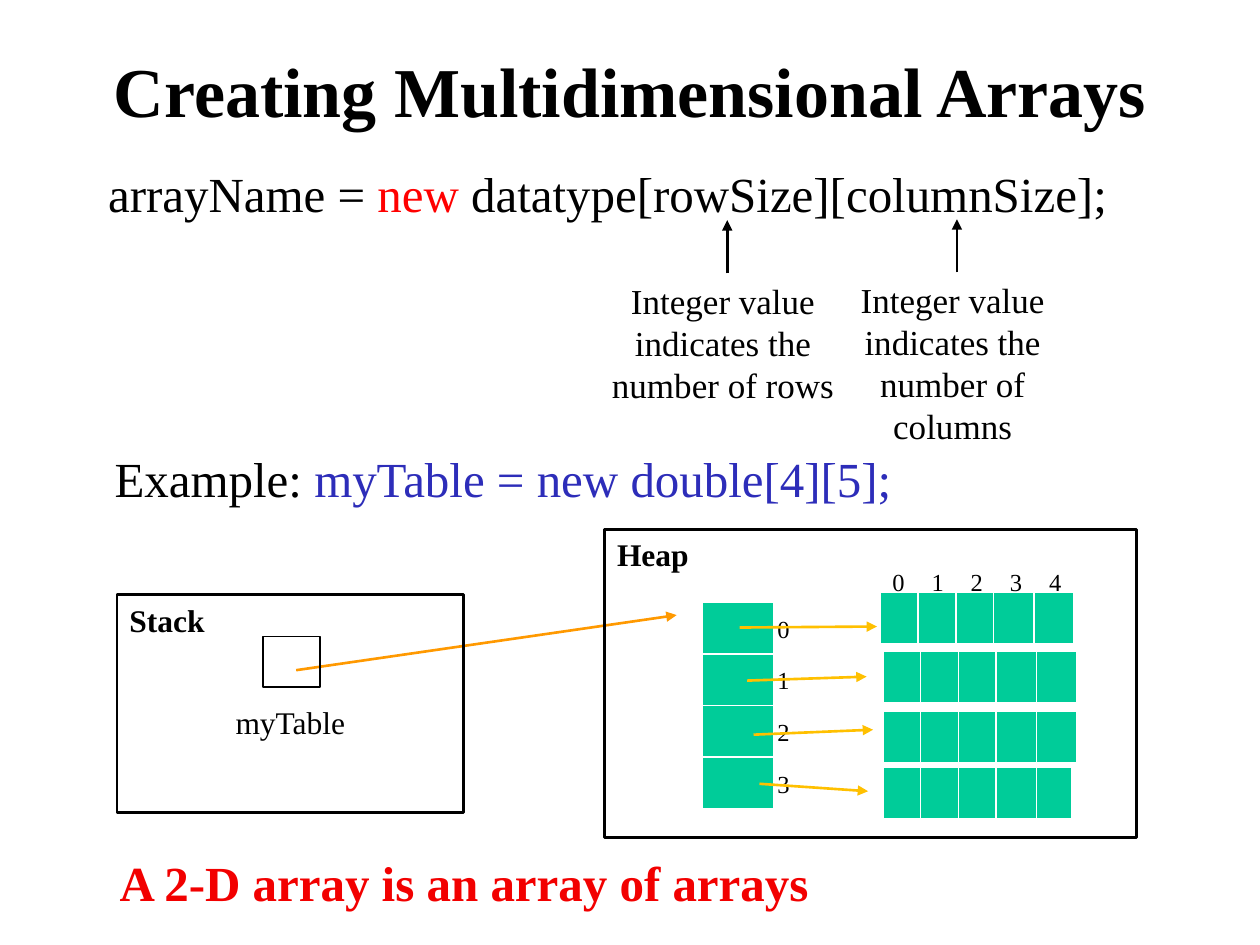
import dataclasses

import pptx
import pptx.dml.color
import pptx.enum.shapes
import pptx.enum.text
import pptx.oxml
import pptx.oxml.ns
import pptx.util

Cm = pptx.util.Cm
ALIGN = pptx.enum.text.PP_ALIGN
ANCHOR = pptx.enum.text.MSO_ANCHOR


@dataclasses.dataclass(frozen=True)
class Theme:
    """Hold the colours and type sizes of the deck."""
    font: str = "Times New Roman"
    ink: str = "000000"
    keyword: str = "FF0000"
    code: str = "2D2DB9"
    summary: str = "F20000"
    cell: str = "00CC99"
    reference: str = "FF9900"
    row_reference: str = "FFC000"
    title_size: int = 40
    body_size: int = 28
    note_size: int = 20
    label_size: int = 18
    index_size: int = 14
    line: float = 1.5
    thin_line: float = 1


THEME = Theme()


def color(value):
    """Turn a hex string into a colour."""
    return pptx.dml.color.RGBColor.from_string(value)


def write(shape, spans, size, bold=False, align=ALIGN.LEFT, anchor=ANCHOR.TOP):
    """Write (text, colour) spans as one paragraph of a shape."""
    frame = shape.text_frame
    frame.word_wrap = True
    frame.vertical_anchor = anchor
    para = frame.paragraphs[0]
    para.alignment = align
    for text, ink in spans:
        span = para.add_run()
        span.text = text
        span.font.name = THEME.font
        span.font.size = pptx.util.Pt(size)
        span.font.bold = bold
        span.font.color.rgb = color(ink)


def add_text(page, box, spans, size, **style):
    """Add a text box at (left, top, width, height)."""
    shape = page.shapes.add_textbox(*map(Cm, box))
    write(shape, spans, size, **style)


def add_frame(page, box, width, label=""):
    """Add an unfilled rectangle with an optional bold label."""
    shape = page.shapes.add_shape(
        pptx.enum.shapes.MSO_SHAPE.RECTANGLE, *map(Cm, box))
    shape.shadow.inherit = False
    shape.fill.background()
    shape.line.color.rgb = color(THEME.ink)
    shape.line.width = pptx.util.Pt(width)
    if label:
        write(shape, [(label, THEME.ink)], THEME.label_size, bold=True)


def add_arrow(page, start, end, ink):
    """Add a straight arrow pointing at its end."""
    arrow = page.shapes.add_connector(
        pptx.enum.shapes.MSO_CONNECTOR.STRAIGHT, *map(Cm, (*start, *end)))
    arrow.line.color.rgb = color(ink)
    arrow.line.width = pptx.util.Pt(THEME.line)
    head = pptx.oxml.parse_xml(
        f'<a:tailEnd {pptx.oxml.ns.nsdecls("a")} type="triangle"/>')
    arrow.line._get_or_add_ln().append(head)
    arrow._element.spPr.append(pptx.oxml.parse_xml(
        f'<a:effectLst {pptx.oxml.ns.nsdecls("a")}/>'))


def add_array(page, left, top, widths, row_count, height):
    """Add a table of empty array cells."""
    table = page.shapes.add_table(
        row_count, len(widths), Cm(left), Cm(top),
        Cm(sum(widths)), Cm(height * row_count)).table
    table.horz_banding = False
    for column, width in zip(table.columns, widths):
        column.width = Cm(width)
    for cell in table.iter_cells():
        cell.margin_left = cell.margin_right = Cm(0)
        cell.fill.solid()
        cell.fill.fore_color.rgb = color(THEME.cell)


def add_note(page, box, text):
    """Add a centred note with an arrow rising from its top edge."""
    left, top, _, _ = box
    add_text(page, box, [(text, THEME.ink)], THEME.note_size, align=ALIGN.CENTER)
    add_arrow(page, (left + 2.75, top), (left + 2.75, top - 1.07), THEME.ink)


def add_stack(page, box):
    """Draw the stack with its variable."""
    left, top, _, _ = box
    add_frame(page, box, THEME.line, "Stack")
    add_frame(page, (left + 2.95, top + 0.84, 1.14, 1.02), THEME.thin_line)
    add_text(page, (left + 1.96, top + 2.06, 3.07, 1.02),
             [("myTable", THEME.ink)], THEME.label_size, align=ALIGN.CENTER)


def add_heap(page, box):
    """Draw the heap with the outer array, its row arrays and their indexes."""
    left, top, _, _ = box
    height = 1.04
    rows = [
        (5.56, 1.27, 0.81, (2.72, 1.98), (5.49, 1.96)),
        (5.61, 2.46, 0.81, (2.87, 3.05), (5.28, 2.97)),
        (5.61, 3.66, 0.81, (3.00, 4.14), (5.41, 4.04)),
        (5.61, 4.80, 0.71, (3.12, 5.13), (5.31, 5.28)),
    ]
    add_array(page, left + 1.96, top + 1.47, [1.45], len(rows), height)
    indexes = [(3.23, 1.58 + height * row, row) for row in range(len(rows))]
    indexes += [(5.55 + 0.79 * column, 0.64, column) for column in range(5)]
    for x, y, index in indexes:
        add_text(page, (left + x, top + y, 0.76, 0.86),
                 [(str(index), THEME.ink)], THEME.index_size)
    for x, y, last_width, start, end in rows:
        add_array(page, left + x, top + y,
                  [0.76, 0.76, 0.76, 0.81, last_width], 1, height)
        add_arrow(page, (left + start[0], top + start[1]),
                  (left + end[0], top + end[1]), THEME.row_reference)
    add_frame(page, box, THEME.line, "Heap")


def add_syntax(page, box):
    """Place the general form of the statement and the notes on its sizes."""
    left, top, _, _ = box
    add_text(page, box, [("arrayName = ", THEME.ink), ("new", THEME.keyword),
                         (" datatype[rowSize][columnSize];", THEME.ink)],
             THEME.body_size)
    add_note(page, (left + 14.61, top + 2.31, 5.33, 3.68),
             "Integer value indicates the number of columns")
    add_note(page, (left + 9.98, top + 2.33, 5.33, 2.82),
             "Integer value indicates the number of rows")


def add_memory(page, box):
    """Draw the stack, the heap and the reference between them."""
    left, top, _, _ = box
    add_arrow(page, (left + 3.61, top + 2.84), (left + 11.28, top + 1.73),
              THEME.reference)
    add_stack(page, (left, top + 1.32, 6.99, 4.39))
    add_heap(page, (left + 9.83, top, 10.72, 6.22))


def main():
    """Build the slide and save it."""
    deck = pptx.Presentation()
    deck.slide_width, deck.slide_height = Cm(25.4), Cm(19.05)
    page = deck.slides.add_slide(deck.slide_layouts[6])
    add_text(page, (1.9, 0.43, 21.6, 2.74),
             [("Creating Multidimensional Arrays", THEME.ink)], THEME.title_size,
             bold=True, align=ALIGN.CENTER, anchor=ANCHOR.MIDDLE)
    add_syntax(page, (1.93, 3.18, 21.06, 1.7))
    add_text(page, (2.06, 8.92, 19.63, 1.45),
             [("Example: ", THEME.ink), ("myTable = new double[4][5];", THEME.code)],
             THEME.body_size)
    add_memory(page, (2.36, 10.67, 20.55, 6.22))
    add_text(page, (2.16, 17.07, 15.88, 1.45),
             [("A 2-D array is an array of arrays", THEME.summary)],
             THEME.body_size, bold=True)
    deck.save("out.pptx")


if __name__ == "__main__":
    main()
